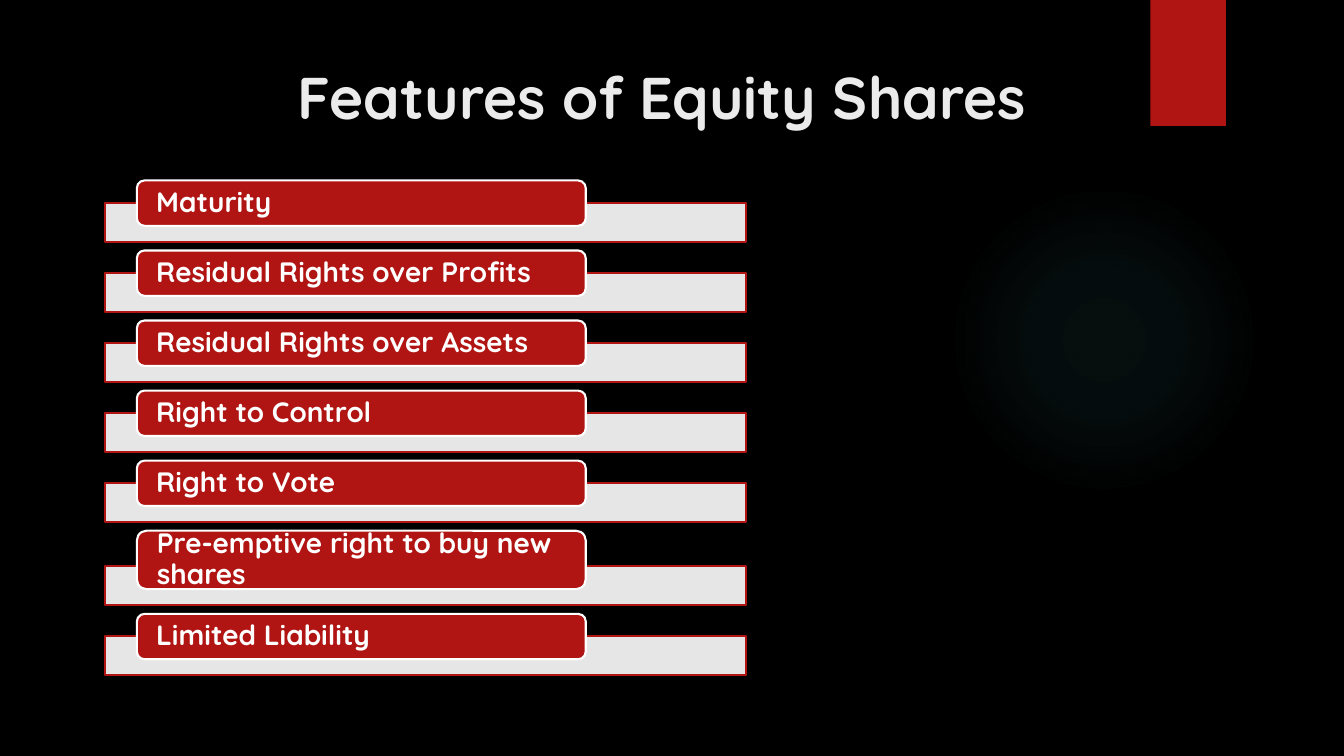
from lxml.etree import SubElement
from pptx import Presentation
from pptx.dml.color import RGBColor
from pptx.enum.shapes import MSO_SHAPE
from pptx.enum.text import MSO_ANCHOR, PP_ALIGN
from pptx.oxml import parse_xml
from pptx.oxml.ns import nsdecls, qn
from pptx.util import Inches, Pt

FONT = "Quicksand"
RED, WHITE, TEAL = "B01513", "FFFFFF", "50B9C1"
FEATURES = [
    ("Maturity", 0.45),
    ("Residual Rights over Profits", 0.45),
    ("Residual Rights over Assets", 0.45),
    ("Right to Control", 0.45),
    ("Right to Vote", 0.45),
    ("Pre-emptive right to buy new shares", 0.58),
    ("Limited Liability", 0.45),
]


def color(value):
    """Turn a hex string into a colour."""
    return RGBColor.from_string(value)


def add_block(page, kind, box, fill, line=None, opacity=100):
    """Add a filled shape without shadow, given left, top, width and height."""
    shape = page.shapes.add_shape(kind, *map(Inches, box))
    shape.shadow.inherit = False
    shape.fill.solid()
    shape.fill.fore_color.rgb = color(fill)
    if opacity < 100:
        tint = shape.fill._xPr.find(".//" + qn("a:srgbClr"))
        SubElement(tint, qn("a:alpha"), val=str(opacity * 1000))
    if line:
        shape.line.color.rgb = color(line)
        shape.line.width = Pt(1.5)
    else:
        shape.line.fill.background()
    return shape


def write_text(shape, text, size, ink, anchor, insets, spacing=1.0):
    """Write one bold, left-aligned paragraph into a shape."""
    frame = shape.text_frame
    frame.word_wrap = True
    frame.vertical_anchor = anchor
    (frame.margin_left, frame.margin_top,
     frame.margin_right, frame.margin_bottom) = map(Inches, insets)
    para = frame.paragraphs[0]
    para.alignment = PP_ALIGN.LEFT
    para.line_spacing = spacing
    span = para.add_run()
    span.text = text
    span.font.name = FONT
    span.font.size = Pt(size)
    span.font.bold = True
    span.font.color.rgb = color(ink)


def add_glow(page, box):
    """Add the faint round glow that fades out from its centre."""
    glow = add_block(page, MSO_SHAPE.OVAL, box, TEAL)
    stops = "".join(
        f'<a:gs pos="{position * 1000}"><a:srgbClr val="{TEAL}">'
        f'<a:alpha val="{opacity * 1000}"/></a:srgbClr></a:gs>'
        for position, opacity in [(0, 7), (36, 6), (69, 0)])
    gradient = parse_xml(
        f'<a:gradFill {nsdecls("a")}><a:gsLst>{stops}</a:gsLst><a:path path="circle">'
        '<a:fillToRect l="50000" t="50000" r="50000" b="50000"/></a:path></a:gradFill>')
    properties = glow._element.spPr
    properties.replace(properties.find(qn("a:solidFill")), gradient)


def add_title(page, box, text):
    """Add the slide title, set in from the left of its box."""
    title = page.shapes.add_textbox(*map(Inches, box))
    write_text(title, text, 42, "EBEBEB", MSO_ANCHOR.TOP, (2.03, 0.05, 0.1, 0.05))


def add_feature_list(page, box, features):
    """Stack evenly spaced bars, each with a label overlapping its top edge."""
    left, top, width, height = box
    bar_height, overhang = 0.39, 0.16
    used = sum(label_height + overhang for _, label_height in features)
    gap = (height - used) / (len(features) - 1)
    for text, label_height in features:
        bottom = top + label_height + overhang
        add_block(page, MSO_SHAPE.RECTANGLE, (left, bottom - bar_height, width, bar_height),
                  WHITE, line=RED, opacity=90)
        label = add_block(page, MSO_SHAPE.ROUNDED_RECTANGLE,
                          (left + width * 0.05, top, width * 0.7, label_height),
                          RED, line=WHITE)
        write_text(label, text, 20, WHITE, MSO_ANCHOR.MIDDLE, (0.17, 0, 0.17, 0), spacing=0.9)
        top = bottom + gap


def build_features_slide(deck):
    """Build the slide that lists the features of equity shares."""
    page = deck.slides.add_slide(deck.slide_layouts[6])
    page.background.fill.solid()
    page.background.fill.fore_color.rgb = color("000000")
    add_glow(page, (9.41, 1.83, 3.08, 3.08))
    add_block(page, MSO_SHAPE.RECTANGLE, (11.41, 0, 0.75, 1.25), RED)
    add_title(page, (0.92, 0.55, 10.12, 1.05), "Features of Equity Shares")
    add_feature_list(page, (1.04, 1.79, 6.36, 4.91), FEATURES)


deck = Presentation()
deck.slide_width, deck.slide_height = Inches(13.33), Inches(7.5)
build_features_slide(deck)
deck.save("out.pptx")
